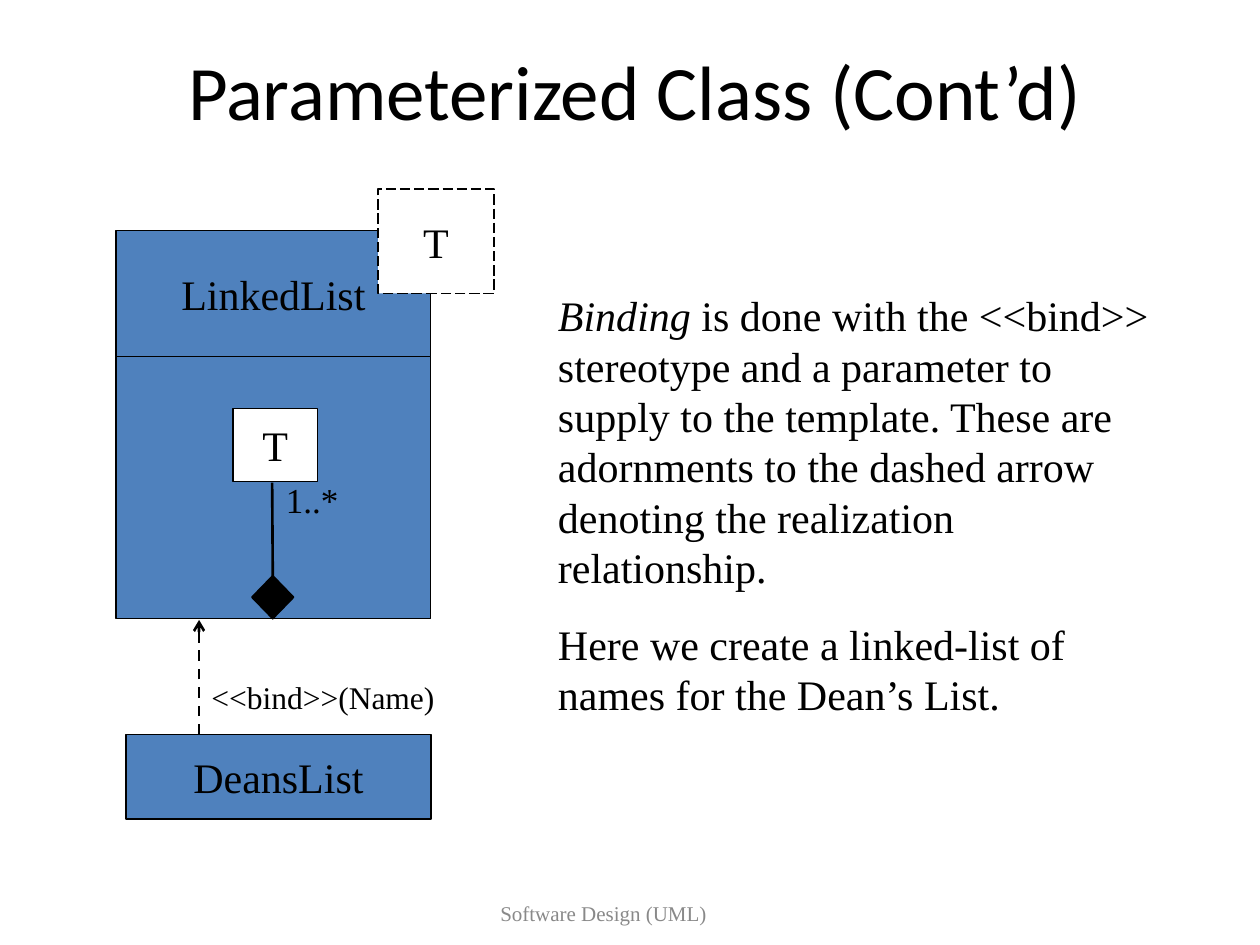
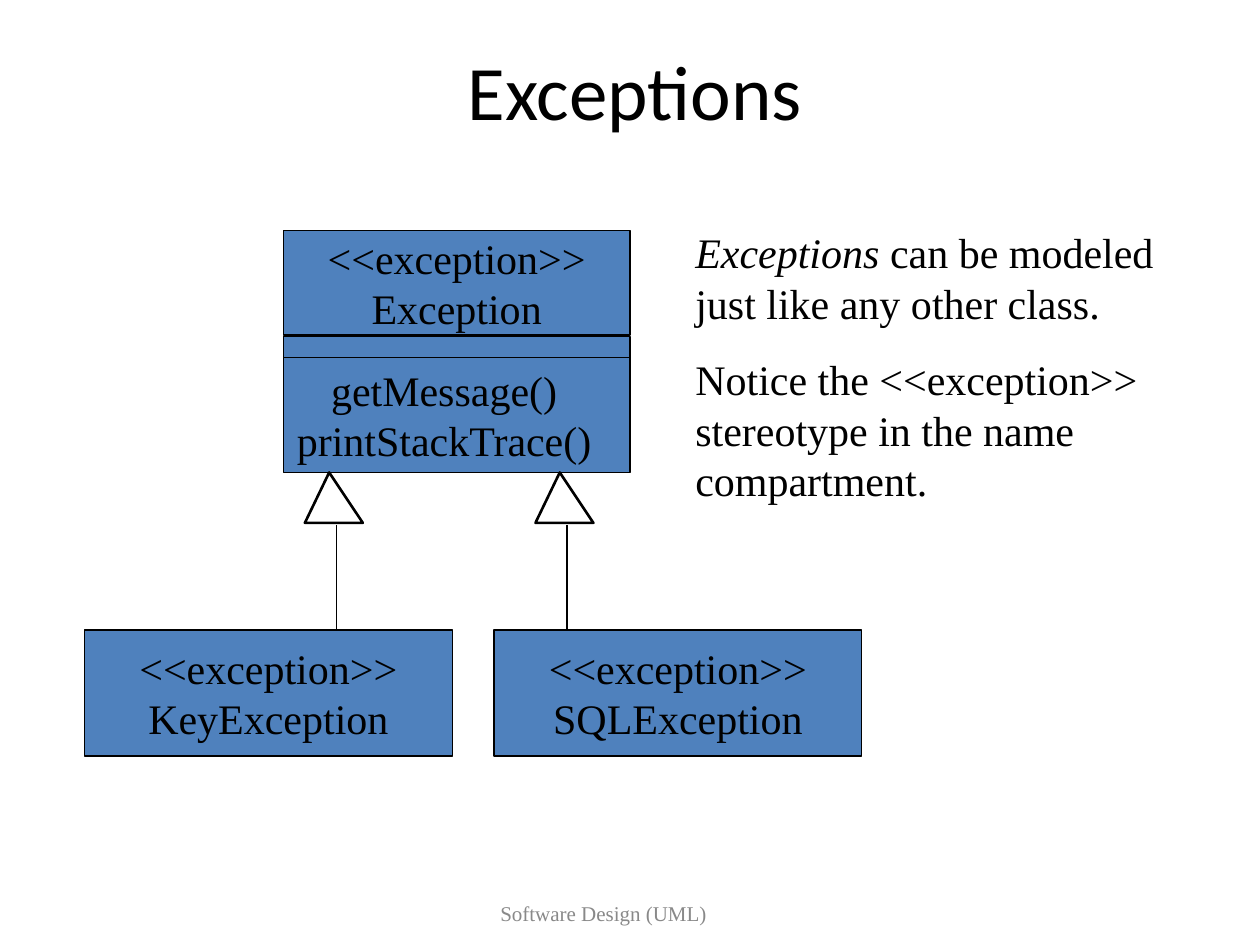
"""Builds two UML slides: binding a parameterized class, and modelling exceptions."""
from lxml import etree
from pptx import Presentation
from pptx.dml.color import RGBColor
from pptx.enum.dml import MSO_LINE
from pptx.enum.shapes import MSO_CONNECTOR, MSO_SHAPE
from pptx.enum.text import MSO_ANCHOR, PP_ALIGN
from pptx.oxml.ns import qn
from pptx.util import Inches, Pt

RECTANGLE, DIAMOND = MSO_SHAPE.RECTANGLE, MSO_SHAPE.DIAMOND
TRIANGLE = MSO_SHAPE.ISOSCELES_TRIANGLE
STRAIGHT = MSO_CONNECTOR.STRAIGHT
DASH, LONG_DASH = MSO_LINE.DASH, MSO_LINE.LONG_DASH
LEFT, CENTER = PP_ALIGN.LEFT, PP_ALIGN.CENTER
TOP, MIDDLE = MSO_ANCHOR.TOP, MSO_ANCHOR.MIDDLE

BLACK, WHITE, BLUE, GRAY = "000000", "FFFFFF", "4F81BD", "898989"
TITLE_FONT, BODY_FONT = "Calibri", "Times New Roman"
LINE_HEIGHT = 1.2
TITLE_BOX = (0.75, 0.42, 8.58, 0.58)
FOOTER, FOOTER_BOX = "Software Design (UML)", (2.58, 7, 4.42, 0.5)

BINDING_TITLE = "Parameterized Class (Cont’d)"
BINDING_CLASSES = [
    ("LinkedList", (0.92, 1.83, 2.5, 1), BLUE, None),
    ("T", (3, 1.5, 0.92, 0.83), WHITE, LONG_DASH),
    ("", (0.92, 2.83, 2.5, 2.08), BLUE, None),
    ("T", (1.85, 3.24, 0.67, 0.58), WHITE, None),
    ("DeansList", (1, 5.83, 2.42, 0.67), BLUE, None),
]
AGGREGATION_DIAMOND = (2, 4.57, 0.33, 0.34)
BINDING_LABELS = [
    ("1..*", (2.17, 3.75, 0.67, 0.44), 20),
    ("<<bind>>(Name)", (1.58, 5.33, 2, 0.4), 18),
]
BINDING_NOTES = [
    [("Binding", True), (" is done with the <<bind>> stereotype and a parameter to supply to the "
                         "template. These are adornments to the dashed arrow denoting the "
                         "realization relationship.", False)],
    [("Here we create a linked-list of names for the Dean’s List.", False)],
]

EXCEPTIONS_TITLE = "Exceptions"
SUBCLASSES = ["KeyException", "SQLException"]
SUBCLASS_LEFT, SUBCLASS_STEP = 0.67, 3.25
ARROW_LEFT, ARROW_STEP = 2.42, 1.83
OPERATIONS = ["getMessage()", "printStackTrace()"]
EXCEPTION_NOTES = [
    [("Exceptions", True), (" can be modeled just like any other class.", False)],
    [("Notice the <<exception>> stereotype in the name compartment.", False)],
]


def color(value):
    return RGBColor.from_string(value)


def inches(box):
    return [Inches(length) for length in box]


def style(paragraph, size, name=BODY_FONT, tint=BLACK, align=LEFT):
    paragraph.alignment = align
    if name == BODY_FONT:
        paragraph.line_spacing = Pt(size * LINE_HEIGHT)
    paragraph.font.size = Pt(size)
    paragraph.font.name = name
    paragraph.font.color.rgb = color(tint)


def write(frame, paragraphs, size=24, tint=BLACK, align=LEFT, anchor=TOP):
    """Fills a frame with paragraphs, each a list of (text, italic) runs."""
    frame.word_wrap = True
    frame.vertical_anchor = anchor
    for index, runs in enumerate(paragraphs):
        paragraph = frame.add_paragraph() if index else frame.paragraphs[0]
        for text, italic in runs:
            for part, line in enumerate(text.split("\n")):
                if part:
                    paragraph.add_line_break()
                run = paragraph.add_run()
                run.text = line
                if italic:
                    run.font.italic = True
        style(paragraph, size, tint=tint, align=align)


def add_text(slide, box, paragraphs, **options):
    frame = slide.shapes.add_textbox(*inches(box)).text_frame
    write(frame, paragraphs, **options)
    return frame


def add_notes(slide, box, notes):
    frame = add_text(slide, box, notes)
    for paragraph in frame.paragraphs[1:]:
        paragraph.space_before = Pt(15)


def add_figure(slide, kind, box, fill, width=0.75, dash=None):
    shape = slide.shapes.add_shape(kind, *inches(box))
    shape.shadow.inherit = False
    shape.fill.solid()
    shape.fill.fore_color.rgb = color(fill)
    shape.line.color.rgb = color(BLACK)
    shape.line.width = Pt(width)
    if dash:
        shape.line.dash_style = dash
    return shape


def add_class(slide, box, lines, fill=BLUE, dash=None):
    shape = add_figure(slide, RECTANGLE, box, fill, dash=dash)
    if any(lines):
        write(shape.text_frame, [[(line, False)] for line in lines], align=CENTER, anchor=MIDDLE)
    return shape


def add_line(slide, start, end, width=0.75, dash=None, arrow=False):
    connector = slide.shapes.add_connector(STRAIGHT, *inches(start + end))
    connector.line.color.rgb = color(BLACK)
    connector.line.width = Pt(width)
    if dash:
        connector.line.dash_style = dash
    if arrow:
        etree.SubElement(connector.line._get_or_add_ln(), qn("a:tailEnd"), type="arrow")
    etree.SubElement(connector._element.spPr, qn("a:effectLst"))
    return connector


def add_slide(presentation, title):
    slide = presentation.slides.add_slide(presentation.slide_layouts[5])
    heading = slide.shapes.title
    heading.left, heading.top, heading.width, heading.height = inches(TITLE_BOX)
    heading.text_frame.text = title
    heading.text_frame.vertical_anchor = MIDDLE
    style(heading.text_frame.paragraphs[0], 44, TITLE_FONT, align=CENTER)
    add_text(slide, FOOTER_BOX, [[(FOOTER, False)]], size=12, tint=GRAY,
             align=CENTER, anchor=MIDDLE)
    return slide


def build_binding(presentation):
    slide = add_slide(presentation, BINDING_TITLE)
    for name, box, fill, dash in BINDING_CLASSES:
        add_class(slide, box, [name], fill, dash)
    diamond = add_figure(slide, DIAMOND, AGGREGATION_DIAMOND, BLACK, 1)
    aggregation = add_line(slide, (2.16, 4.57), (2.16, 3.83), 1.5)
    aggregation.begin_connect(diamond, 0)
    add_line(slide, (1.58, 5.83), (1.58, 4.92), 1.5, DASH, arrow=True)
    for label, box, size in BINDING_LABELS:
        add_text(slide, box, [[(label, False)]], size=size)
    add_notes(slide, (4.33, 2.25, 4.92, 3.51), BINDING_NOTES)


def build_exceptions(presentation):
    slide = add_slide(presentation, EXCEPTIONS_TITLE)
    add_class(slide, (2.25, 1.83, 2.75, 0.83), ["<<exception>>\nException"])
    operations = add_class(slide, (2.25, 2.83, 2.75, 0.92), OPERATIONS)
    first_operation = operations.text_frame.paragraphs[0]
    first_operation._p.get_or_add_pPr().set("marR", str(Inches(0.2)))
    add_class(slide, (2.25, 2.67, 2.75, 0.17), [])
    for index, name in enumerate(SUBCLASSES):
        left = SUBCLASS_LEFT + index * SUBCLASS_STEP
        add_class(slide, (left, 5, 2.92, 1), [f"<<exception>>\n{name}"])
        arrow_left = ARROW_LEFT + index * ARROW_STEP
        triangle = add_figure(slide, TRIANGLE, (arrow_left, 3.75, 0.46, 0.4), WHITE, 1.5)
        triangle.adjustments[0] = 0.42
        stem = arrow_left + 0.25
        add_line(slide, (stem, 4.17), (stem, 5))
    add_notes(slide, (5.42, 1.75, 3.92, 2.31), EXCEPTION_NOTES)


def main():
    presentation = Presentation()
    presentation.slide_width, presentation.slide_height = Inches(10), Inches(7.5)
    build_binding(presentation)
    build_exceptions(presentation)
    presentation.save("out.pptx")


if __name__ == "__main__":
    main()
